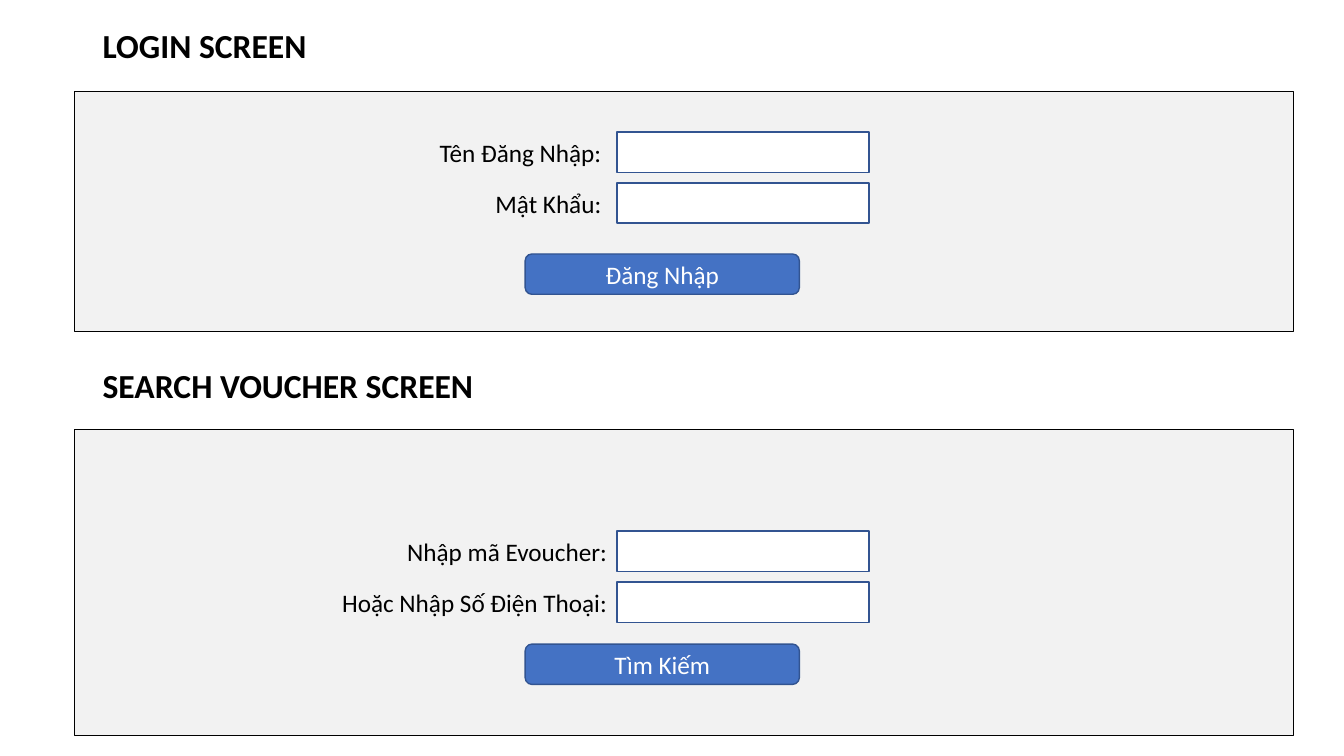
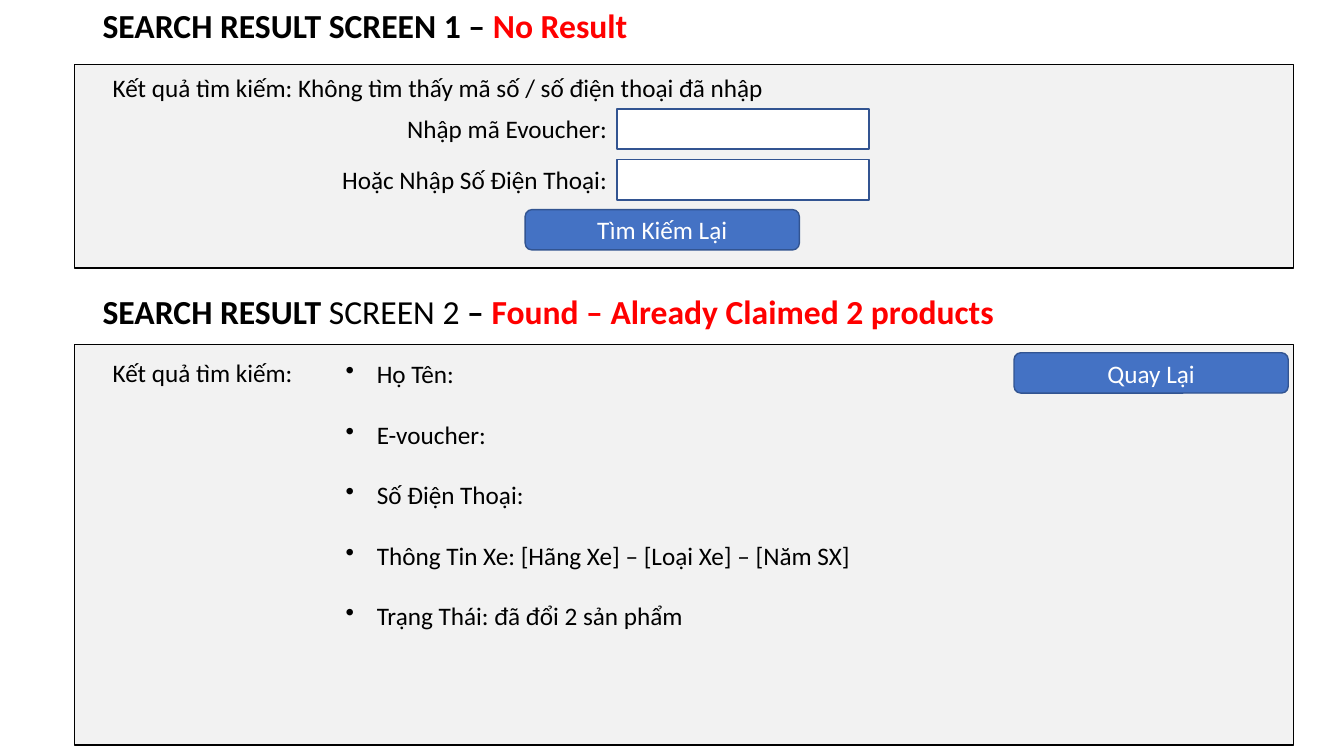
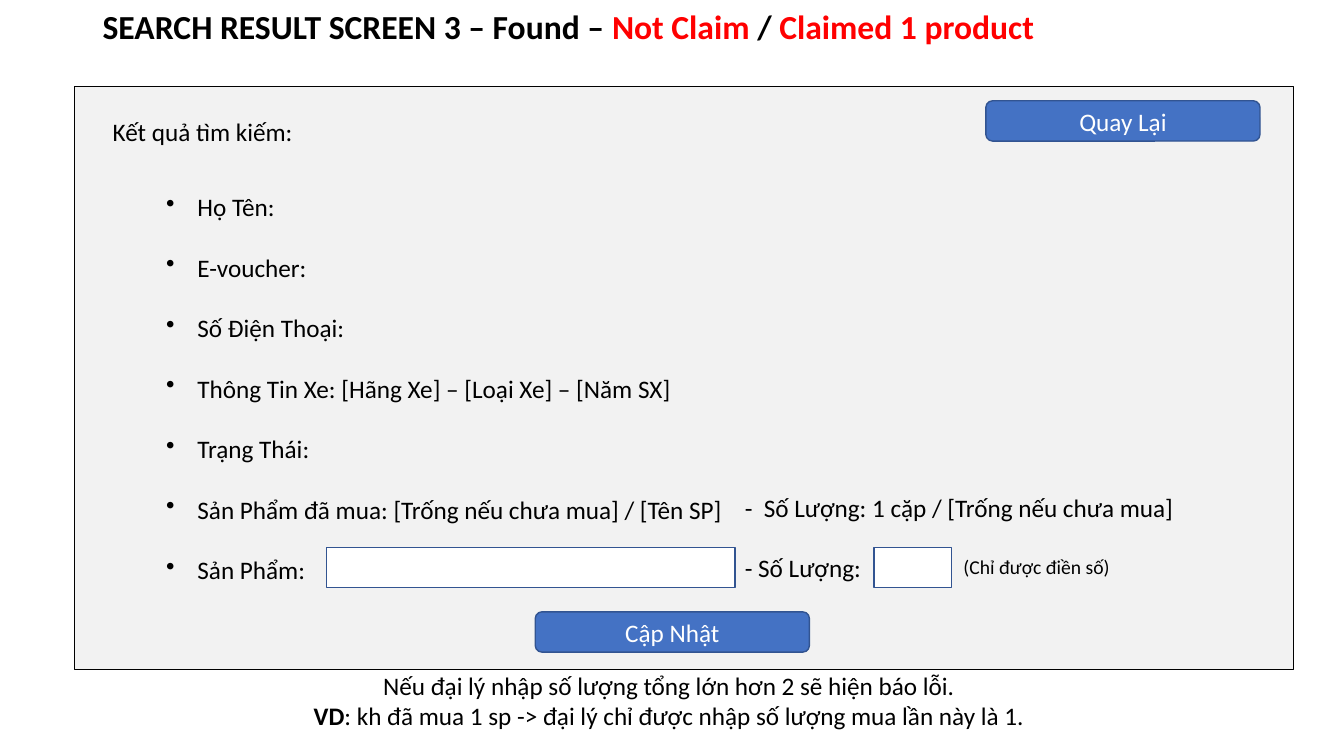
"""Build the three voucher screen wireframes."""
from dataclasses import dataclass
from typing import NamedTuple, Optional

from pptx import Presentation
from pptx.dml.color import RGBColor
from pptx.enum.shapes import MSO_SHAPE
from pptx.enum.text import MSO_ANCHOR, PP_ALIGN
from pptx.oxml import parse_xml
from pptx.oxml.ns import nsdecls
from pptx.util import Inches, Pt

RECTANGLE, ROUNDED = MSO_SHAPE.RECTANGLE, MSO_SHAPE.ROUNDED_RECTANGLE
LEFT, CENTER, RIGHT = PP_ALIGN.LEFT, PP_ALIGN.CENTER, PP_ALIGN.RIGHT
TOP, MIDDLE = MSO_ANCHOR.TOP, MSO_ANCHOR.MIDDLE


@dataclass(frozen=True)
class Theme:
    """Colours, type sizes and line widths."""
    font: str = "Calibri"
    ink: str = "000000"
    paper: str = "FFFFFF"
    panel: str = "F2F2F2"
    accent: str = "4472C4"
    edge: str = "325491"
    alert: str = "FF0000"
    title: float = 24
    body: float = 18
    note: float = 14
    line: float = 1
    bullet_gap: float = 21.6


@dataclass(frozen=True)
class Grid:
    """Shared columns and rows, in cells of a tenth of an inch."""
    columns: float = 133.33
    rows: float = 75
    title_left: float = 9.2
    panel_left: float = 7.4
    panel_width: float = 120.9
    result_left: float = 10.2
    field_left: float = 61.2
    field_width: float = 25
    field_pitch: float = 5.05
    button_left: float = 52.1
    button_width: float = 27.2
    row: float = 4
    title_row: float = 5.5
    indent: float = 3.1


class Span(NamedTuple):
    """A stretch of text with its own colour or weight."""
    text: str
    color: Optional[str] = None
    bold: Optional[bool] = None


THEME, GRID = Theme(), Grid()
RESULT = "Kết quả tìm kiếm:"
BACK = "Quay Lại"
LOGIN_FIELDS = (("Tên Đăng Nhập: ", 22.5), ("Mật Khẩu: ", 22.5))
SEARCH_FIELDS = (("Nhập mã Evoucher:", 44), ("Hoặc Nhập Số Điện Thoại:", 30.2))
CUSTOMER = ("Họ Tên:", "E-voucher:", "Số Điện Thoại: ",
            "Thông Tin Xe: [Hãng Xe] – [Loại Xe] – [Năm SX]")


def cells(*counts):
    """Turn grid cells into lengths."""
    return [Inches(round(count / 10, 3)) for count in counts]


def rgb(color):
    """Turn a hex string into a colour."""
    return RGBColor.from_string(color)


def write(box, paragraphs, size=THEME.body, color=THEME.ink, bold=False,
          align=LEFT, anchor=TOP, wrap=True):
    """Fill a box with paragraphs, each a sequence of spans."""
    frame = box.text_frame
    frame.word_wrap, frame.vertical_anchor = wrap, anchor
    for index, spans in enumerate(paragraphs):
        para = frame.add_paragraph() if index else frame.paragraphs[0]
        para.alignment = align
        font = para.font
        font.name, font.size, font.bold = THEME.font, Pt(size), bold
        font.color.rgb = rgb(color)
        for span in spans:
            run = para.add_run()
            run.text = span.text
            if span.color:
                run.font.color.rgb = rgb(span.color)
            if span.bold is not None:
                run.font.bold = span.bold
    return frame


def add_text(page, place, *spans, **style):
    """Add a text box of one paragraph."""
    return write(page.shapes.add_textbox(*cells(*place)), [spans], **style)


def add_title(page, top, *spans, width=115):
    """Add a screen heading."""
    place = GRID.title_left, top, width, GRID.title_row
    frame = add_text(page, place, *spans, size=THEME.title, bold=True, anchor=MIDDLE)
    frame.paragraphs[0].line_spacing = 0.9


def add_box(page, place, fill=THEME.paper, edge=THEME.edge, kind=RECTANGLE):
    """Add an outlined shape; by default an input field."""
    box = page.shapes.add_shape(kind, *cells(*place))
    box.shadow.inherit = False
    box.fill.solid()
    box.fill.fore_color.rgb = rgb(fill)
    box.line.color.rgb = rgb(edge)
    box.line.width = Pt(THEME.line)
    return box


def add_panel(page, top, height):
    """Add the grey area of one screen."""
    place = GRID.panel_left, top, GRID.panel_width, height
    add_box(page, place, THEME.panel, THEME.ink)


def add_button(page, caption, top, left=GRID.button_left):
    """Add a rounded button."""
    place = left, top, GRID.button_width, GRID.row
    box = add_box(page, place, THEME.accent, kind=ROUNDED)
    write(box, [[Span(caption)]], color=THEME.paper, align=CENTER, anchor=MIDDLE)


def add_form(page, fields, top, caption, button_top):
    """Add labelled input fields and their button."""
    for index, (label, width) in enumerate(fields):
        row = top + index * GRID.field_pitch
        add_text(page, (GRID.field_left - width, row, width, GRID.row),
                 Span(label), align=RIGHT)
        add_box(page, (GRID.field_left, row, GRID.field_width, GRID.row))
    add_button(page, caption, button_top)


def add_bullets(page, place, items):
    """Add a widely spaced bullet list."""
    box = page.shapes.add_textbox(*cells(*place))
    frame = write(box, [[Span(item)] for item in items])
    indent, = cells(GRID.indent)
    for para in frame.paragraphs:
        para.space_after = Pt(THEME.bullet_gap)
        properties = para._p.get_or_add_pPr()
        properties.set("marL", str(indent))
        properties.set("indent", str(-indent))
        bullet = parse_xml(f'<a:buChar {nsdecls("a")} char="•"/>')
        properties.insert_element_before(bullet, "a:tabLst", "a:defRPr", "a:extLst")


def build_entry(page):
    """Draw the login and search screens."""
    add_title(page, 2, Span("LOGIN SCREEN"))
    add_panel(page, 9.1, 23.8)
    add_form(page, LOGIN_FIELDS, 13.1, "Đăng Nhập", 25.2)
    add_title(page, 35.7, Span("SEARCH VOUCHER SCREEN"))
    add_panel(page, 42.6, 30.4)
    add_form(page, SEARCH_FIELDS, 52.7, "Tìm Kiếm", 63.9)


def build_results(page):
    """Draw the empty result and the fully claimed result."""
    add_title(page, 0, Span("SEARCH RESULT SCREEN 1 – "), Span("No Result", THEME.alert))
    add_panel(page, 6.4, 20.2)
    add_text(page, (GRID.result_left, 6.7, 109.2, GRID.row),
             Span(RESULT + " Không tìm thấy mã số / số điện thoại đã nhập"))
    add_form(page, SEARCH_FIELDS, 10.8, "Tìm Kiếm Lại", 20.8)
    add_title(page, 28.4, Span("SEARCH RESULT "), Span("SCREEN 2 ", bold=False),
              Span("– "), Span("Found – Already Claimed 2 products", THEME.alert))
    add_panel(page, 34.2, 39.7)
    add_text(page, (GRID.result_left, 35, 109.2, GRID.row), Span(RESULT))
    add_bullets(page, (33.3, 35.1, 66.7, 28.3),
                (*CUSTOMER, "Trạng Thái: đã đổi 2 sản phẩm"))
    add_button(page, BACK, 35, left=100.6)


def build_update(page):
    """Draw the result that can still be claimed."""
    add_title(page, 0.1, Span("SEARCH RESULT SCREEN 3 – Found – "),
              Span("Not Claim ", THEME.alert), Span("/ "),
              Span("Claimed 1 product", THEME.alert), width=122.3)
    add_panel(page, 8.6, 57.8)
    add_text(page, (GRID.result_left, 11.1, 50.7, GRID.row), Span(RESULT))
    add_bullets(page, (15.5, 18.5, 73.8, 40.4),
                (*CUSTOMER, "Trạng Thái:",
                 "Sản Phẩm đã mua: [Trống nếu chưa mua] / [Tên SP]", "Sản Phẩm: "))
    add_button(page, "Cập Nhật", 60.7, left=53.1)
    add_text(page, (72.9, 48.3, 57.1, 7.1),
             Span("-  Số Lượng: 1 cặp / [Trống nếu chưa mua] "))
    add_box(page, (32.4, 54.3, 40.5, GRID.row))
    add_text(page, (72.9, 54.3, 13.9, GRID.row), Span("- Số Lượng:"), wrap=False)
    add_box(page, (86.7, 54.3, 7.7, GRID.row))
    add_text(page, (94.6, 54.6, 16.8, 3.4), Span("(Chỉ được điền số)"),
             size=THEME.note, wrap=False)
    warning = page.shapes.add_textbox(*cells(14, 66, 105.3, 7.1))
    write(warning, [
        [Span("Nếu đại lý nhập số lượng tổng lớn hơn 2 sẽ hiện báo lỗi. ")],
        [Span("VD", bold=True),
         Span(": kh đã mua 1 sp -> đại lý chỉ được nhập số lượng mua lần này là 1. ")],
    ], align=CENTER)
    add_button(page, BACK, 10, left=97.8)


def main():
    """Build and save the deck."""
    deck = Presentation()
    deck.slide_width, deck.slide_height = cells(GRID.columns, GRID.rows)
    blank = deck.slide_layouts[6]
    for build in (build_entry, build_results, build_update):
        build(deck.slides.add_slide(blank))
    deck.save("out.pptx")


main()
